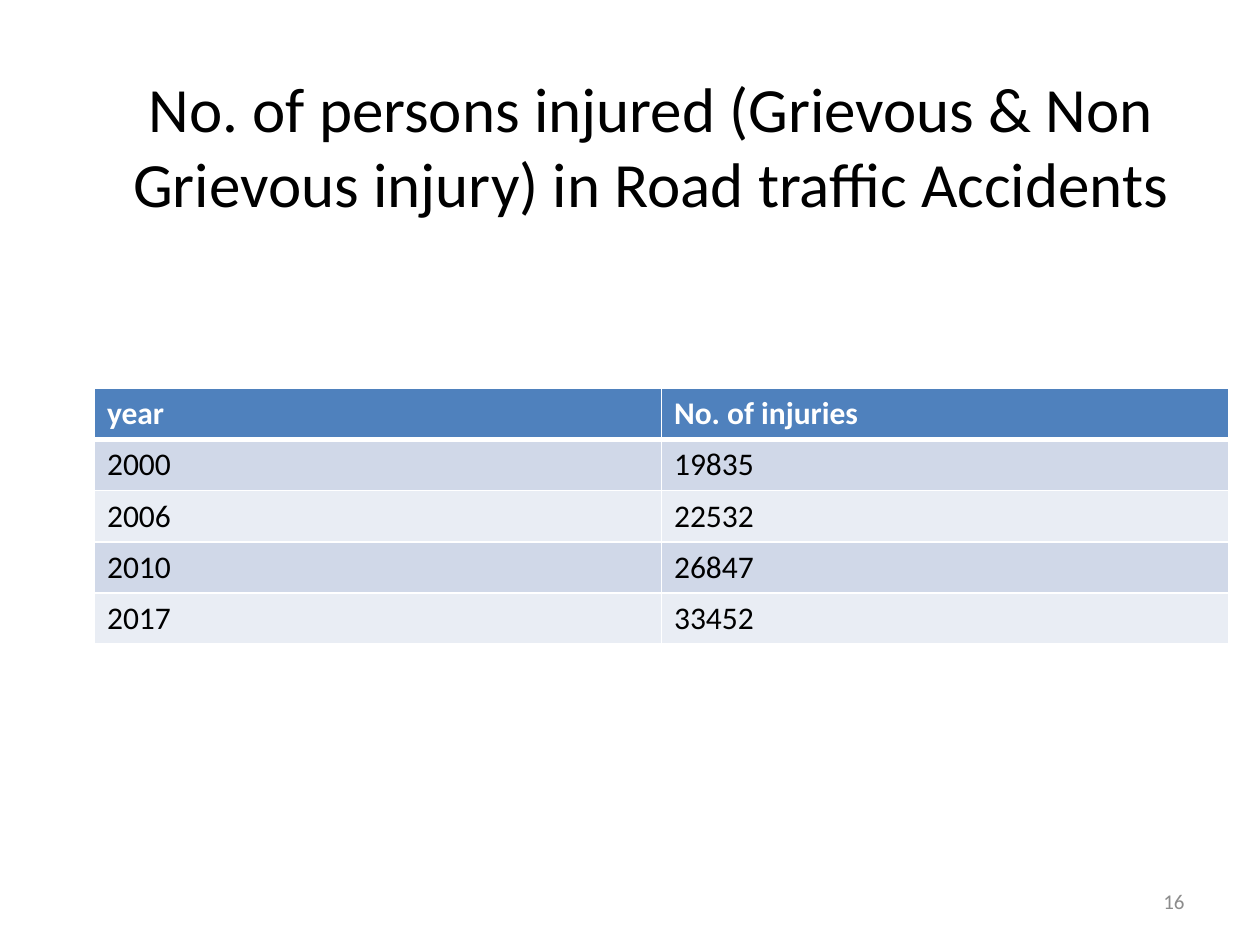
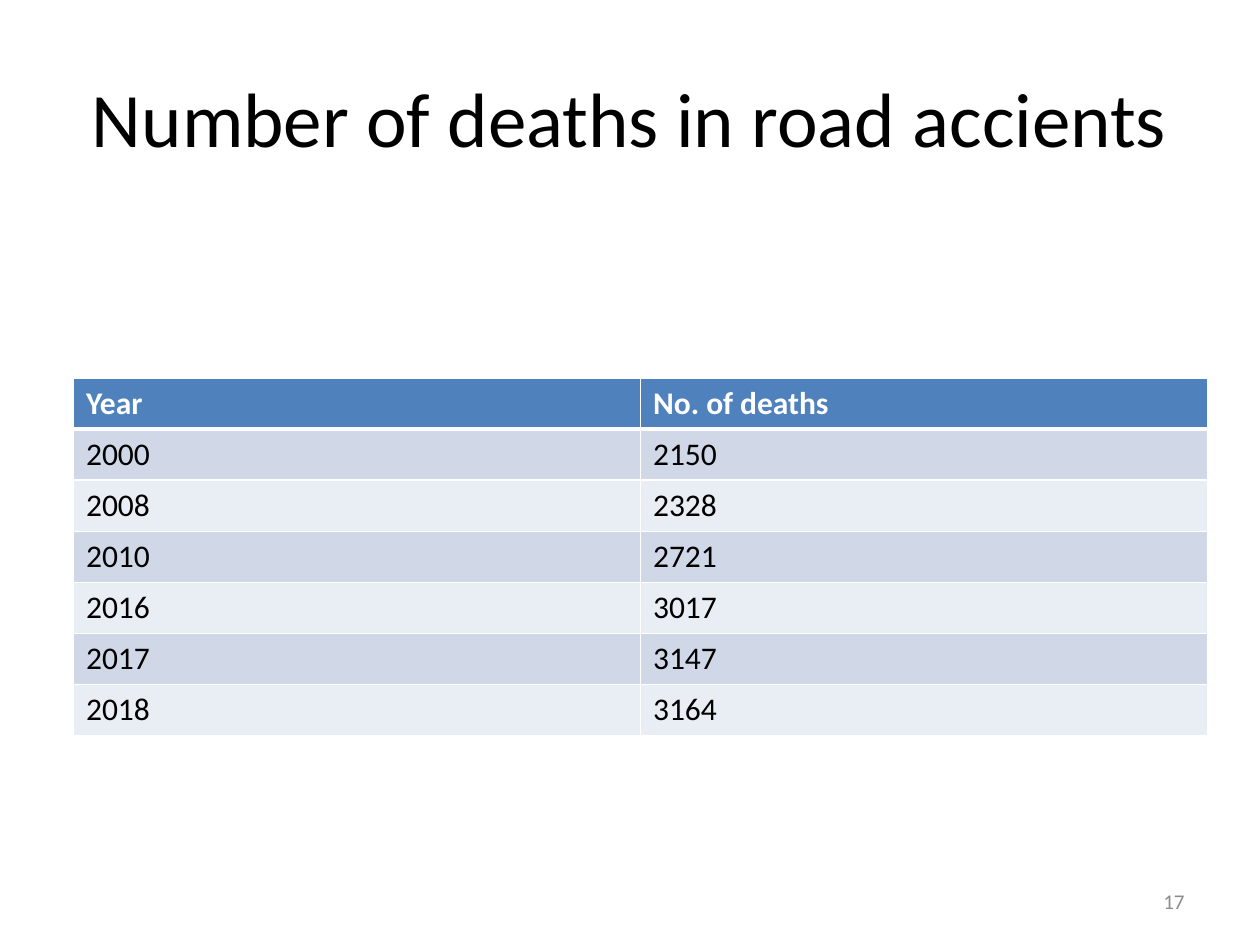
import lxml.etree
import pptx
import pptx.dml.color
import pptx.enum.text
import pptx.oxml.ns
import pptx.util

RGBColor = pptx.dml.color.RGBColor
Align = pptx.enum.text.PP_ALIGN
Anchor = pptx.enum.text.MSO_ANCHOR

BLACK = RGBColor(0x00, 0x00, 0x00)
WHITE = RGBColor(0xFF, 0xFF, 0xFF)
PAGE_GREY = RGBColor(0x8C, 0x8C, 0x8C)
HEADER_BLUE = RGBColor(0x4F, 0x81, 0xBD)
BANDS = (RGBColor(0xE9, 0xED, 0xF4), RGBColor(0xD0, 0xD8, 0xE8))

FONT = "Calibri"
COLUMNS, ROWS = 120, 90
TABLE_WIDTH, TABLE_ROW = 108, 4.87
PAGE_NUMBER_AREA = (86, 83.4, 28, 4.8)
THIN, THICK = 1, 3


class Deck:
    """Holds the presentation, its grid and style, and the current slide."""

    def __init__(self):
        self.presentation = pptx.Presentation()
        self.presentation.slide_width = pptx.util.Inches(10)
        self.presentation.slide_height = pptx.util.Inches(7.5)
        self.slide = None

    def place(self, left, top, width, height):
        """Turn grid columns and rows into slide lengths."""
        column = self.presentation.slide_width / COLUMNS
        row = self.presentation.slide_height / ROWS
        return [round(length) for length in
                (left * column, top * row, width * column, height * row)]

    def add_slide(self, page_number):
        title_only = self.presentation.slide_layouts[5]
        self.slide = self.presentation.slides.add_slide(title_only)
        number = self.slide.shapes.add_textbox(*self.place(*PAGE_NUMBER_AREA))
        self.set_text(number.text_frame, str(page_number), 12, PAGE_GREY,
                      Align.RIGHT)

    def set_text(self, frame, text, size, color, align, anchor=Anchor.MIDDLE):
        frame.text = text
        frame.word_wrap = True
        frame.auto_size = pptx.enum.text.MSO_AUTO_SIZE.NONE
        frame.vertical_anchor = anchor
        frame.paragraphs[0].alignment = align
        self.format_font(frame, size, color)

    def format_font(self, frame, size, color, bold=False):
        font = frame.paragraphs[0].runs[0].font
        font.name, font.size, font.bold = FONT, pptx.util.Pt(size), bold
        font.color.rgb = color

    def title(self, text, area, size, anchor=Anchor.MIDDLE):
        heading = self.slide.shapes.title
        (heading.left, heading.top,
         heading.width, heading.height) = self.place(*area)
        self.set_text(heading.text_frame, text, size, BLACK, Align.CENTER,
                      anchor)

    def table(self, left, top, records):
        area = self.place(left, top, TABLE_WIDTH, TABLE_ROW * len(records))
        table = self.slide.shapes.add_table(
            len(records), len(records[0]), *area).table
        for index, record in enumerate(records):
            is_header = index == 0
            for cell, value in zip(table.rows[index].cells, record):
                cell.text = str(value)
                self.format_font(cell.text_frame, 18,
                                 WHITE if is_header else BLACK, is_header)
                self.borders(cell, top=THICK if index == 1 else THIN,
                             bottom=THICK if is_header else THIN)
                cell.fill.solid()
                cell.fill.fore_color.rgb = (
                    HEADER_BLUE if is_header else BANDS[index % 2])

    def borders(self, cell, top, bottom):
        qn = pptx.oxml.ns.qn
        properties = cell._tc.get_or_add_tcPr()
        for side, points in zip("LRTB", (THIN, THIN, top, bottom)):
            line = lxml.etree.SubElement(properties, qn(f"a:ln{side}"),
                                         w=str(pptx.util.Pt(points)))
            fill = lxml.etree.SubElement(line, qn("a:solidFill"))
            lxml.etree.SubElement(fill, qn("a:srgbClr"), val=str(WHITE))


def main():
    deck = Deck()

    deck.add_slide(16)
    deck.title("No. of persons injured (Grievous & Non Grievous injury) "
               "in Road traffic Accidents",
               (7, 6, 110, 21.4), 36, Anchor.TOP)
    deck.table(9, 37, [("year", "No. of injuries"), (2000, 19835),
                       (2006, 22532), (2010, 26847), (2017, 33452)])

    deck.add_slide(17)
    deck.title("Number of deaths in road accients", (6, 3.6, 108, 15), 44)
    deck.table(7, 36, [("Year", "No. of deaths"), (2000, 2150), (2008, 2328),
                       (2010, 2721), (2016, 3017), (2017, 3147),
                       (2018, 3164)])

    deck.presentation.save("out.pptx")


if __name__ == "__main__":
    main()
